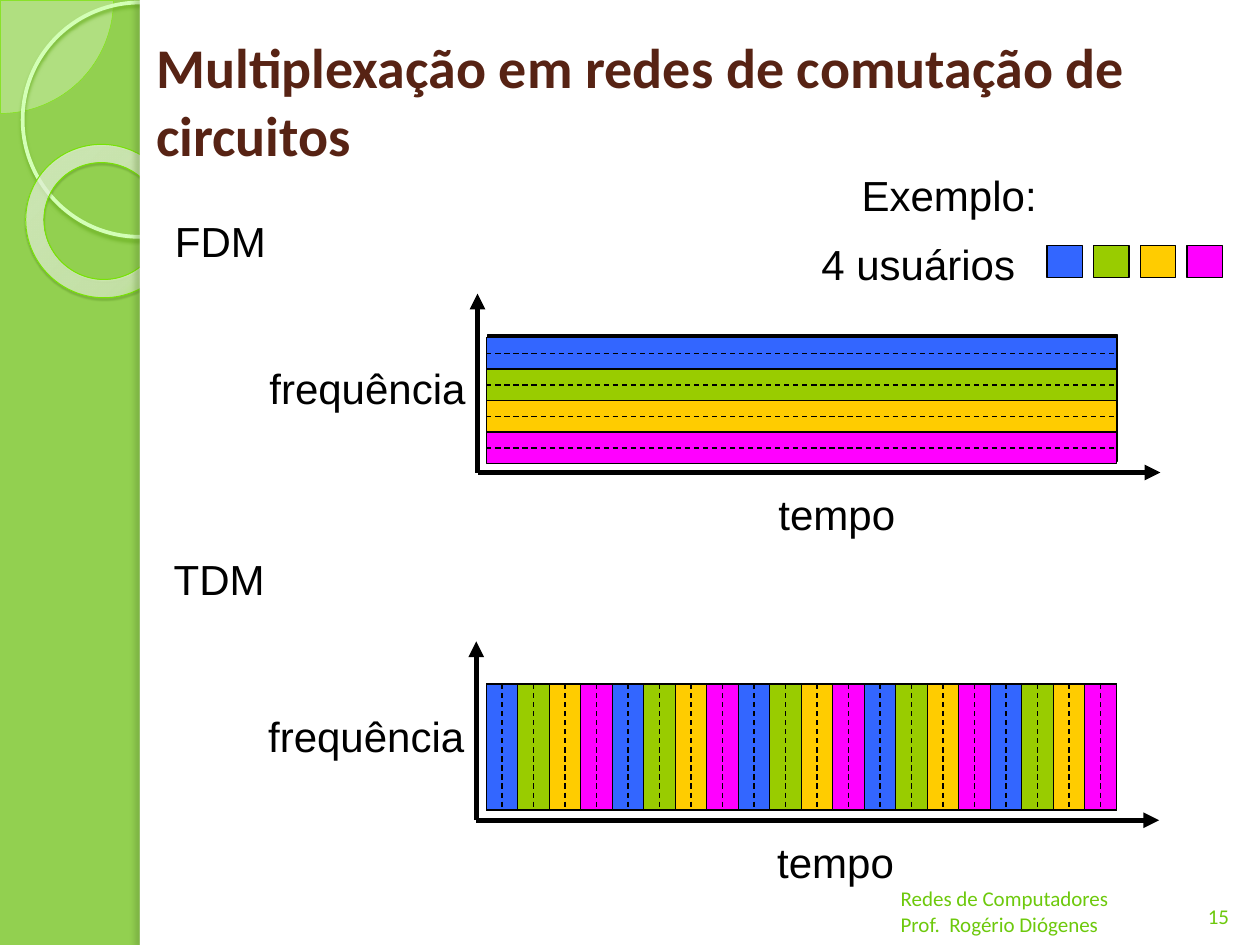
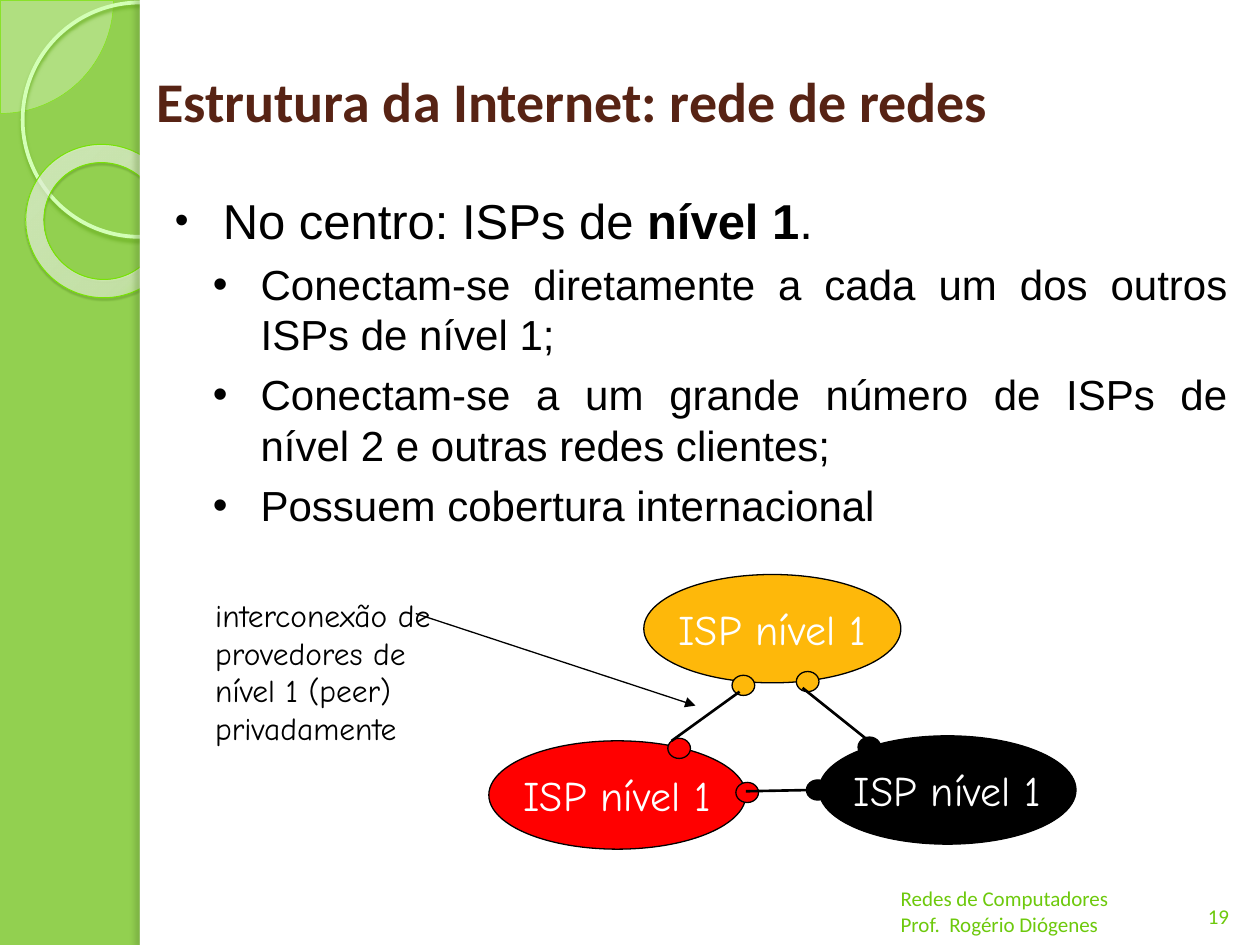
from dataclasses import dataclass

from pptx import Presentation
from pptx.dml.color import RGBColor
from pptx.enum.dml import MSO_LINE
from pptx.enum.shapes import MSO_CONNECTOR, MSO_SHAPE
from pptx.enum.text import MSO_ANCHOR, MSO_AUTO_SIZE, PP_ALIGN
from pptx.oxml import parse_xml
from pptx.oxml.ns import nsdecls
from pptx.util import Inches, Pt


@dataclass(frozen=True)
class Theme:
    green: str = "92D050"
    white: str = "FFFFFF"
    black: str = "000000"
    brown: str = "572314"
    lime: str = "6DC90C"
    red: str = "FF0000"
    amber: str = "FEB80A"
    users: tuple = ("3366FF", "99CC00", "FFCC00", "FF00FF")
    head: str = "Calibri"
    body: str = "Arial"
    hand: str = "Comic Neue"
    title: int = 32
    lead: int = 28
    text: int = 24
    note: int = 18
    foot: int = 12
    thin: float = 0.75
    link: float = 1.5
    axis: float = 3


T = Theme()
BAND = 0.25
PLOT_W, PLOT_H = 5, 1


def rgb(code):
    return RGBColor.from_string(code)


def xml(tag, attrs="", inner=""):
    return parse_xml(f"<a:{tag} {nsdecls('a')} {attrs}>{inner}</a:{tag}>")


def tint(code, alpha=100):
    """Colour markup with opacity in percent."""
    return f'<a:srgbClr val="{code}"><a:alpha val="{alpha * 1000}"/></a:srgbClr>'


def write(frame, text, size=T.text, font=T.body, color=T.black, bold=False,
          align=PP_ALIGN.LEFT, anchor=MSO_ANCHOR.TOP, wrap=True):
    """Fill a text frame; each line of the text becomes a paragraph."""
    frame.word_wrap = wrap
    frame.vertical_anchor = anchor
    for i, line in enumerate(text.split("\n")):
        par = frame.add_paragraph() if i else frame.paragraphs[0]
        par.alignment = align
        add_run(par, line, size, font, color, bold)


def add_run(par, text, size=T.text, font=T.body, color=T.black, bold=False):
    run = par.add_run()
    run.text = text
    run.font.size = Pt(size)
    run.font.name = font
    run.font.bold = bold
    run.font.color.rgb = rgb(color)


def label(slide, x, y, w, h, text, **form):
    box = slide.shapes.add_textbox(Inches(x), Inches(y), Inches(w), Inches(h))
    write(box.text_frame, text, **form)
    return box


def shape(slide, kind, x, y, w, h, fill=None, line=T.black, width=T.thin):
    item = slide.shapes.add_shape(kind, Inches(x), Inches(y), Inches(w), Inches(h))
    item.shadow.inherit = False
    if fill:
        item.fill.solid()
        item.fill.fore_color.rgb = rgb(fill)
    else:
        item.fill.background()
    if line:
        item.line.color.rgb = rgb(line)
        item.line.width = Pt(width)
    else:
        item.line.fill.background()
    return item


def rect(slide, x, y, w, h, fill, **form):
    return shape(slide, MSO_SHAPE.RECTANGLE, x, y, w, h, fill, **form)


def oval(slide, x, y, w, h, fill, **form):
    return shape(slide, MSO_SHAPE.OVAL, x, y, w, h, fill, **form)


def line(slide, x1, y1, x2, y2, width=T.thin, arrow=False, dash=False):
    item = slide.shapes.add_connector(
        MSO_CONNECTOR.STRAIGHT, Inches(x1), Inches(y1), Inches(x2), Inches(y2))
    item.line.color.rgb = rgb(T.black)
    item.line.width = Pt(width)
    if dash:
        item.line.dash_style = MSO_LINE.DASH
    if arrow:
        item.line.fill  # ensures the line element is present
        item.element.spPr.ln.append(xml("tailEnd", 'type="triangle"'))
    item.element.spPr.append(xml("effectLst"))
    return item


def shade(item, code, alpha, blur, dist, angle):
    """Outer shadow; blur and distance in points, angle in degrees."""
    attrs = (f'blurRad="{Pt(blur)}" dist="{Pt(dist)}" dir="{angle * 60000}" '
             'algn="tl" rotWithShape="0"')
    effects = item.element.spPr.find(xml("effectLst").tag)
    effects.append(xml("outerShdw", attrs, tint(code, alpha)))


def glow(item):
    """Translucent radial fill of the ring."""
    stops = ((0, "F4FFEE", 70), (70, "FAFFF6", 55), (100, "83FE00", 60))
    marks = "".join(f'<a:gs pos="{pos * 1000}">{tint(code, alpha)}</a:gs>'
                    for pos, code, alpha in stops)
    path = ('<a:path path="circle"><a:fillToRect l="-408000" t="-50000" '
            'r="508000" b="150000"/></a:path>')
    props = item.element.spPr
    old = props.find(xml("noFill").tag)
    props.replace(old, xml("gradFill", "", f"<a:gsLst>{marks}</a:gsLst>{path}"))


def dress(slide, layout):
    """Draw the side band and move it to the layout that all slides share."""
    layout.background.fill.solid()
    layout.background.fill.fore_color.rgb = rgb(T.green)
    pie = shape(slide, MSO_SHAPE.PIE, -0.89, -0.89, 1.79, 1.79, "EEFFE4",
                line="7FE90E", width=0.25)
    pie.adjustments[0], pie.adjustments[1] = 0, 54
    pie.element.spPr.find(xml("solidFill").tag)[0].append(xml("alpha", 'val="33000"'))
    hoop = oval(slide, 0.18, 0.02, 1.86, 1.86, None, line="D3FFB6", width=2.15)
    shade(hoop, "6DB224", 85, 2, 2, 90)
    ring = shape(slide, MSO_SHAPE.DONUT, 0.2, 1.15, 1.23, 1.21,
                 line="77E403", width=0.58)
    ring.adjustments[0] = 0.12
    ring.rotation = 38.6
    glow(ring)
    shade(ring, "366406", 35, 1, 1.2, 75)
    page = rect(slide, 1.11, 0, 8.89, 7.5, T.white, line=None)
    edge = rect(slide, 1.11, 0, 0.08, 7.5, T.white, line=None)
    shade(edge, "496A25", 25, 3, 3, 180)
    for i, item in enumerate((pie, hoop, ring, page, edge)):
        item.element.nvSpPr.cNvPr.id = 100 + i
        layout.shapes.element.append(item.element)


def frame(slide, title, number):
    """Set the title, the page number and the footer."""
    head = slide.shapes.title
    head.left, head.top = Inches(1.14), Inches(0.17)
    head.width, head.height = Inches(8.7), Inches(1.25)
    write(head.text_frame, title, size=T.title, font=T.head, color=T.brown,
          bold=True, anchor=MSO_ANCHOR.MIDDLE)
    head.text_frame.auto_size = MSO_AUTO_SIZE.NONE
    foot = dict(size=T.foot, font=T.head, color=T.lime, anchor=MSO_ANCHOR.BOTTOM)
    label(slide, 9.42, 6.9, 0.5, 0.52, str(number), align=PP_ALIGN.CENTER, **foot)
    label(slide, 7.05, 6.96, 2.76, 0.52,
          "Redes de Computadores\nProf.  Rogério Diógenes", **foot)


def axes(slide, x, y):
    """Time and frequency axes that meet at x, y."""
    line(slide, x, y, x, y - 1.42, width=T.axis, arrow=True)
    line(slide, x, y, x + 5.42, y, width=T.axis, arrow=True)
    label(slide, x - 1.75, y - 0.92, 1.76, 0.5, "frequência", wrap=False)
    label(slide, x + 2.29, y + 0.08, 1.13, 0.5, "tempo", wrap=False)


def bands(slide, x, y, count, tall):
    """Bands in the users' colours, each with a dashed line along its middle."""
    w, h = (BAND, PLOT_H) if tall else (PLOT_W, BAND)
    start, end = (0, 2) if tall else (1, 3)
    for i in range(count):
        left, top = (x + i * BAND, y) if tall else (x, y + i * BAND)
        band = rect(slide, left, top, w, h, T.users[i % len(T.users)])
        mid = line(slide, left, top, left, top, dash=True)
        mid.begin_connect(band, start)
        mid.end_connect(band, end)


def legend(slide):
    label(slide, 6.74, 1.3, 1.59, 0.5, "Exemplo:", wrap=False)
    label(slide, 6.42, 1.84, 1.92, 0.5, "4 usuários")
    for i, color in enumerate(T.users):
        rect(slide, 8.31 + i * 0.37, 1.95, 0.28, 0.25, color)


def points(slide, x, y, w, h, items):
    """Bulleted list; an item is a level and its (text, bold) runs."""
    box = slide.shapes.add_textbox(Inches(x), Inches(y), Inches(w), Inches(h))
    text = box.text_frame
    text.word_wrap = True
    for i, (level, runs) in enumerate(items):
        par = text.add_paragraph() if i else text.paragraphs[0]
        par.alignment = PP_ALIGN.JUSTIFY
        par.level = level
        par.space_before = Pt(5.5 if level else 6)
        props = par._p.get_or_add_pPr()
        props.set("marL", str(Inches(0.68 if level else 0.38)))
        props.set("indent", str(Inches(-0.38)))
        props.append(xml("buClr", "", tint(T.black)))
        props.append(xml("buSzPct", f'val="{100000 if level else 80000}"'))
        props.append(xml("buFont", f'typeface="{T.body}"'))
        props.append(xml("buChar", 'char="•"'))
        for words, bold in runs:
            add_run(par, words, size=T.text if level else T.lead, bold=bold)


def node(slide, x, y, color, ports):
    """A provider with its connection ports."""
    item = oval(slide, x, y, 2.04, 0.86, color)
    write(item.text_frame, "ISP nível 1", font=T.hand, color=T.white,
          align=PP_ALIGN.CENTER, anchor=MSO_ANCHOR.MIDDLE, wrap=False)
    for left, top in ports:
        oval(slide, left, top, 0.18, 0.16, color)


def draw_mux(slide):
    frame(slide, "Multiplexação em redes de comutação de circuitos", 15)
    label(slide, 1.29, 1.66, 0.92, 0.5, "FDM", wrap=False)
    axes(slide, 3.79, 3.75)
    rect(slide, 3.87, 2.66, PLOT_W, PLOT_H, T.black)
    bands(slide, 3.86, 2.68, 4, tall=False)
    label(slide, 1.28, 4.34, 0.92, 0.5, "TDM", wrap=False)
    axes(slide, 3.78, 6.51)
    rect(slide, 3.86, 5.43, PLOT_W, PLOT_H, T.black)
    bands(slide, 3.86, 5.43, 20, tall=True)
    legend(slide)


def draw_net(slide):
    frame(slide, "Estrutura da Internet: rede de redes", 19)
    points(slide, 1.29, 1.46, 8.55, 5.44, (
        (0, (("No centro: ISPs de ", False), ("nível 1", True), (".", False))),
        (1, (("Conectam-se diretamente a cada um dos outros ISPs de nível 1;", False),)),
        (1, (("Conectam-se a um grande número de ISPs de nível 2 e outras redes "
              "clientes;", False),)),
        (1, (("Possuem cobertura internacional", False),))))
    node(slide, 3.88, 5.88, T.red, ((5.3, 5.86), (5.84, 6.21)))
    node(slide, 5.11, 4.56, T.amber, ((6.32, 5.33), (5.81, 5.36)))
    node(slide, 6.5, 5.84, T.black, ((6.81, 5.85), (6.4, 6.19)))
    for ends in ((5.92, 6.28, 6.44, 6.27), (6.37, 5.46, 6.87, 5.86),
                 (5.33, 5.88, 5.87, 5.49)):
        line(slide, *ends, width=T.link)
    label(slide, 1.61, 4.68, 2.14, 1.3,
          "interconexão de provedores de nível 1 (peer) privadamente",
          size=T.note, font=T.hand)
    line(slide, 3.3, 4.87, 5.52, 5.6, arrow=True)


def main():
    deck = Presentation()
    deck.slide_width, deck.slide_height = Inches(10), Inches(7.5)
    layout = deck.slide_layouts[5]
    slides = [deck.slides.add_slide(layout) for _ in range(2)]
    dress(slides[0], layout)
    draw_mux(slides[0])
    draw_net(slides[1])
    deck.save("out.pptx")


if __name__ == "__main__":
    main()
